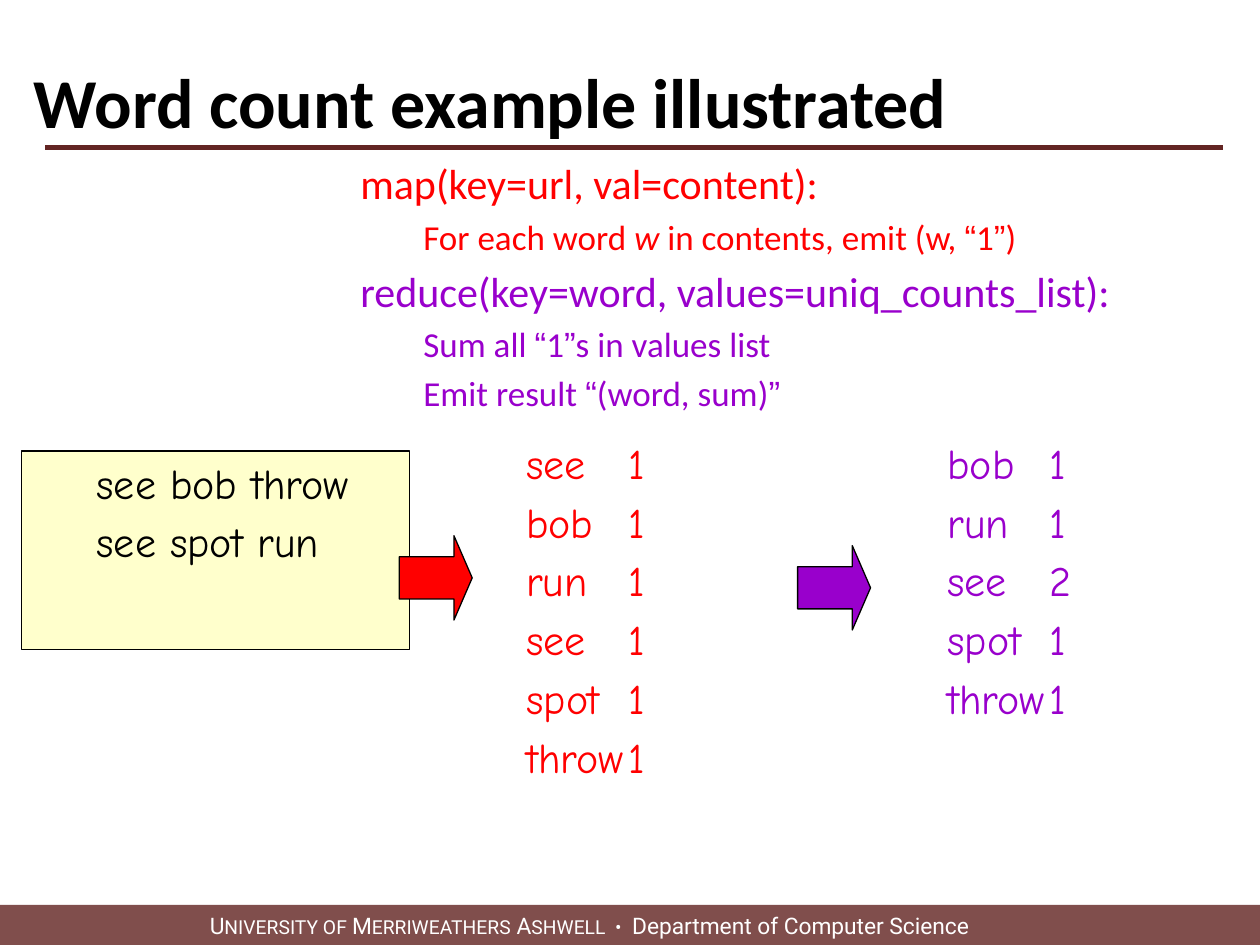
from lxml import etree
from pptx import Presentation
from pptx.dml.color import RGBColor
from pptx.enum.shapes import MSO_CONNECTOR, MSO_SHAPE
from pptx.enum.text import MSO_ANCHOR, MSO_AUTO_SIZE, PP_ALIGN
from pptx.oxml.ns import qn
from pptx.util import Cm, Pt

LEFT = PP_ALIGN.LEFT
TOP, MIDDLE = MSO_ANCHOR.TOP, MSO_ANCHOR.MIDDLE
NO_AUTOFIT = MSO_AUTO_SIZE.NONE
RECTANGLE, RIGHT_ARROW = MSO_SHAPE.RECTANGLE, MSO_SHAPE.RIGHT_ARROW
STRAIGHT = MSO_CONNECTOR.STRAIGHT

MAROON = RGBColor(0x63, 0x25, 0x23)
RED = RGBColor(0xFF, 0x00, 0x00)
PURPLE = RGBColor(0x99, 0x00, 0xCC)
CREAM = RGBColor(0xFF, 0xFF, 0xCC)
BLACK = RGBColor(0x00, 0x00, 0x00)
WHITE = RGBColor(0xFF, 0xFF, 0xFF)

BODY_FONT, QUOTE_FONT = "Calibri", "Arial"
DATA_FONT, FOOTER_FONT = "Comic Neue", "Roboto"
# Outline level: text size, left margin and hanging indent in cm
LEVELS = {1: (24, 2.06, -0.79), 2: (20, 3.18, -0.64)}


class SlideBuilder:
    """Holds the slide and the style shared by its elements."""

    def __init__(self, slide):
        self.slide = slide

    def place(self, shape, box):
        for name, value in zip(("left", "top", "width", "height"), box):
            setattr(shape, name, Cm(value))

    def frame(self, shape, anchor=TOP):
        text_frame = shape.text_frame
        settings = {"word_wrap": True, "auto_size": NO_AUTOFIT,
                    "vertical_anchor": anchor}
        for name, value in settings.items():
            setattr(text_frame, name, value)
        return text_frame

    def run(self, paragraph, text, color, **font_values):
        run = paragraph.add_run()
        run.text = text
        run.font.color.rgb = color
        for name, value in font_values.items():
            setattr(run.font, name, value)

    def indent(self, paragraph, margin, first_line=0):
        properties = paragraph._p.get_or_add_pPr()
        properties.set("marL", str(Cm(margin)))
        properties.set("indent", str(Cm(first_line)))
        etree.SubElement(properties, qn("a:buNone"))

    def title(self, text, box):
        shape = self.slide.shapes.title
        self.place(shape, box)
        paragraph = self.frame(shape, MIDDLE).paragraphs[0]
        paragraph.alignment = LEFT
        self.run(paragraph, text, BLACK, name=BODY_FONT, size=Pt(40), bold=True)

    def lines(self, shape, lines):
        """Each line is (level, colour, font, [(text, font values), ...])."""
        text_frame = self.frame(shape)
        for index, (level, color, font, pieces) in enumerate(lines):
            paragraph = text_frame.add_paragraph() if index else text_frame.paragraphs[0]
            size, margin, first_line = LEVELS[level]
            paragraph.level = level - 1
            paragraph.alignment = LEFT
            paragraph.space_before = Pt(0.2 * size)
            self.indent(paragraph, margin, first_line)
            for text, values in pieces:
                self.run(paragraph, text, color,
                         **{"name": font, "size": Pt(size), **values})

    def body(self, lines, box):
        shape = self.slide.placeholders[1]
        self.place(shape, box)
        self.lines(shape, lines)

    def data(self, rows, color, box, fill=None):
        if fill is None:
            shape = self.slide.shapes.add_textbox(*map(Cm, box))
        else:
            shape = self.shape(RECTANGLE, box, fill, BLACK)
        self.lines(shape, [(1, color, DATA_FONT, [(row, {})]) for row in rows])

    def shape(self, kind, box, fill, line=None):
        shape = self.slide.shapes.add_shape(kind, *map(Cm, box))
        shape.shadow.inherit = False
        shape.fill.solid()
        shape.fill.fore_color.rgb = fill
        if line is None:
            shape.line.fill.background()
        else:
            shape.line.color.rgb = line
            shape.line.width = Pt(0.75)
        return shape

    def arrow(self, box, fill):
        arrow = self.shape(RIGHT_ARROW, box, fill, BLACK)
        arrow.adjustments[0], arrow.adjustments[1] = 0.5, 0.25

    def rule(self, left, right, top):
        rule = self.slide.shapes.add_connector(
            STRAIGHT, Cm(left), Cm(top), Cm(right), Cm(top))
        rule.line.color.rgb = MAROON
        rule.line.width = Pt(3)
        etree.SubElement(rule._element.spPr, qn("a:effectLst"))

    def footer(self, pieces, box):
        bar = self.shape(RECTANGLE, box, MAROON)
        color = bar._element.spPr.find(qn("a:solidFill"))[0]
        etree.SubElement(color, qn("a:alpha"), val="81000")
        paragraph = self.frame(bar, MIDDLE).paragraphs[0]
        paragraph.alignment = LEFT
        self.indent(paragraph, 3.98)
        for text, size in pieces:
            self.run(paragraph, text, WHITE, name=FOOTER_FONT, size=Pt(size))


def quoted(before, inside, after=""):
    quote = {"name": QUOTE_FONT}
    pieces = [(before, {}), ("“", quote), (inside, {}), ("”", quote), (after, {})]
    return [piece for piece in pieces if piece[0]]


def main():
    presentation = Presentation()
    presentation.slide_width, presentation.slide_height = Cm(25.4), Cm(19.05)
    builder = SlideBuilder(
        presentation.slides.add_slide(presentation.slide_layouts[1]))

    # Frame of the slide
    builder.rule(0.91, 24.66, 2.97)
    builder.footer([("U", 13), ("NIVERSITY OF ", 11), ("M", 13),
                    ("ERRIWEATHERS", 11), (" A", 13), ("SHWELL  • ", 11),
                    (" Department of Computer Science", 13)],
                   (0, 18.24, 25.4, 0.84))
    builder.title("Word count example illustrated", (0.43, 0.43, 22.86, 3.18))

    # Pseudocode of the two steps
    emit_word = [("For each word ", {}), ("w", {"italic": True}),
                 *quoted(" in contents, emit (w, ", "1", ")")]
    builder.body([
        (1, RED, BODY_FONT, [("map(key=url, val=content):", {})]),
        (2, RED, BODY_FONT, emit_word),
        (1, PURPLE, BODY_FONT, [("reduce(key=word, values=uniq_counts_list):", {})]),
        (2, PURPLE, BODY_FONT, quoted("Sum all ", "1", "s in values list")),
        (2, PURPLE, BODY_FONT, quoted("Emit result ", "(word, sum)")),
    ], (5.74, 3.05, 17.58, 5.72))

    # Input, mapped pairs and reduced counts
    size = (7.82, 4.01)
    builder.data(["see bob throw", "see spot run"], BLACK, (0.43, 9.09, *size), CREAM)
    builder.data(["see\t1", "bob\t1", "run\t1", "see \t1", "spot \t1", "throw\t1"],
                 RED, (9.09, 8.69, *size))
    builder.data(["bob\t1", "run\t1", "see \t2", "spot \t1", "throw\t1"],
                 PURPLE, (17.58, 8.69, *size))

    # Arrows between the stages
    builder.arrow((8.05, 10.8, 1.47, 1.7), RED)
    builder.arrow((16.08, 11, 1.47, 1.7), PURPLE)

    presentation.save("out.pptx")


if __name__ == "__main__":
    main()
